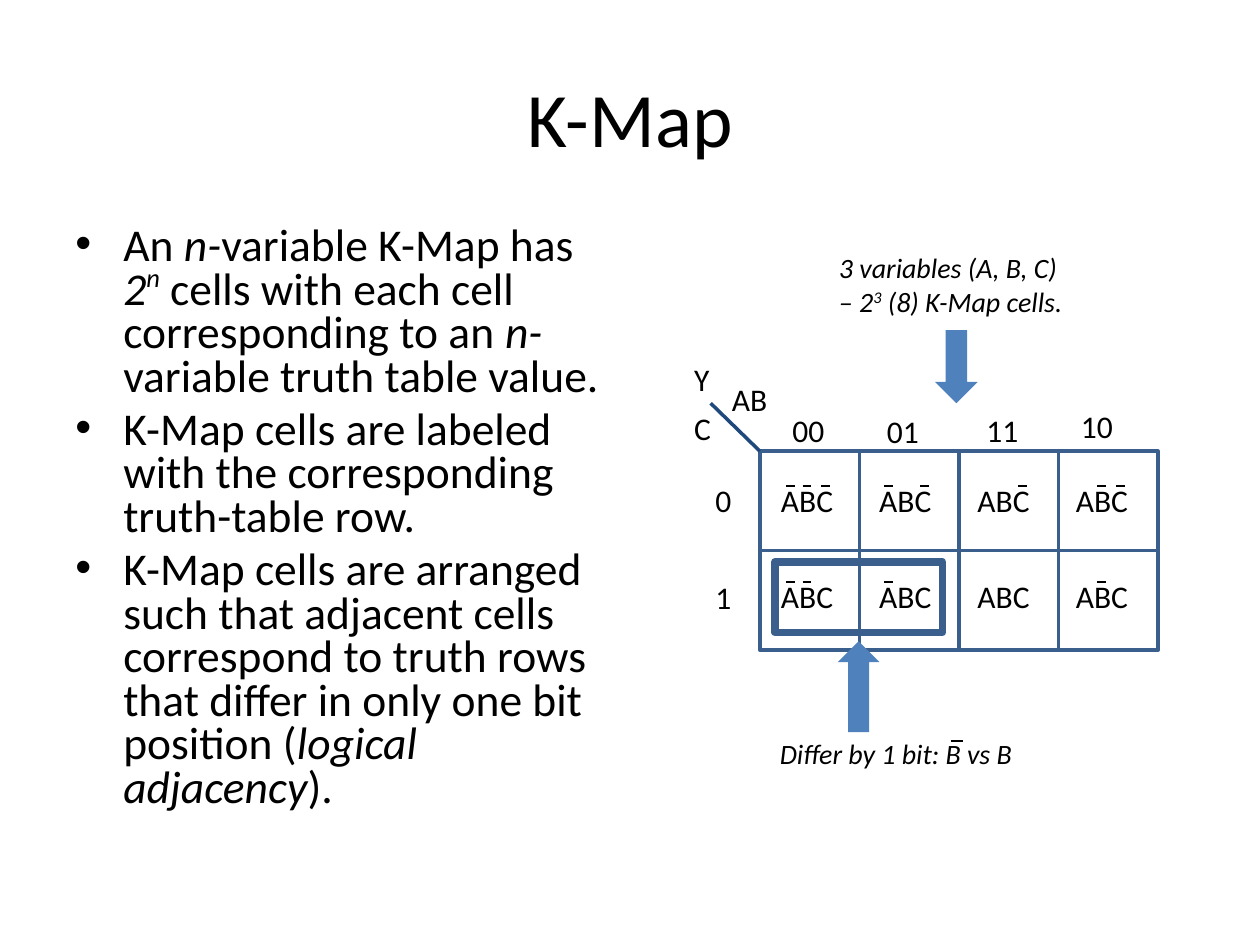
"""Build the K-Map slide: explanatory bullets beside a three-variable map."""
from itertools import product

from lxml.etree import SubElement
from pptx import Presentation
from pptx.dml.color import RGBColor
from pptx.enum.shapes import MSO_CONNECTOR, MSO_SHAPE
from pptx.enum.text import MSO_ANCHOR, PP_ALIGN
from pptx.oxml.ns import qn
from pptx.util import Inches, Pt

THEME = {
    "font": "Calibri",
    "ink": RGBColor(0x00, 0x00, 0x00),
    "grid": RGBColor(0x3A, 0x5F, 0x8C),
    "axis": RGBColor(0x1F, 0x49, 0x7D),
    "arrow": RGBColor(0x4F, 0x81, 0xBD),
    "title": Pt(44),
    "body": Pt(26),
    "label": Pt(18),
    "caption": Pt(16),
}
WIDTH, HEIGHT = 10, 7.5
MARGIN = 0.05 * WIDTH
CELL = 0.79
MAP_LEFT, MAP_TOP = 6.03, 3.58
TERM_LEFT, TERM_TOP, TERM_COLUMN, TERM_ROW = 6.1, 3.77, 0.78, 0.76

deck = Presentation()
deck.slide_width, deck.slide_height = Inches(WIDTH), Inches(HEIGHT)
slide = deck.slides.add_slide(deck.slide_layouts[5])
shapes = slide.shapes


def write(left, top, width, height, paragraphs, size):
    """Add a text box whose paragraphs are lists of (text, italic, baseline) runs."""
    frame = shapes.add_textbox(*map(Inches, (left, top, width, height))).text_frame
    frame.word_wrap = True
    for index, pieces in enumerate(paragraphs):
        paragraph = frame.add_paragraph() if index else frame.paragraphs[0]
        for text, italic, baseline in pieces:
            run = paragraph.add_run()
            run.text = text
            run.font.name, run.font.size = THEME["font"], size
            run.font.italic = italic
            run.font.color.rgb = THEME["ink"]
            if baseline:
                run._r.get_or_add_rPr().set("baseline", str(baseline * 1000))
    return frame


def rule(x1, y1, x2, y2, color, weight):
    """Draw a straight line without a shadow."""
    line = shapes.add_connector(MSO_CONNECTOR.STRAIGHT, *map(Inches, (x1, y1, x2, y2)))
    line.line.color.rgb, line.line.width = color, Pt(weight)
    SubElement(line._element.spPr, qn("a:effectLst"))


title = shapes.title
title.left, title.top = Inches(MARGIN), Inches(0.04 * HEIGHT)
title.width, title.height = Inches(WIDTH - 2 * MARGIN), Inches(HEIGHT / 6)
title.text_frame.text = "K-Map"
title.text_frame.vertical_anchor = MSO_ANCHOR.MIDDLE
heading = title.text_frame.paragraphs[0]
heading.alignment = PP_ALIGN.CENTER
heading_font = heading.runs[0].font
heading_font.name, heading_font.size = THEME["font"], THEME["title"]
heading_font.color.rgb = THEME["ink"]

points = [
    [("An ", False, 0), ("n-", True, 0), ("variable K-Map has ", False, 0),
     ("2", True, 0), ("n", True, 40),
     (" cells with each cell corresponding to an ", False, 0),
     ("n-", True, 0), ("variable truth table value.", False, 0)],
    [("K-Map cells are labeled with the corresponding truth-table row.", False, 0)],
    [("K-Map cells are arranged such that adjacent cells correspond to truth rows "
      "that differ in only one bit position (", False, 0),
     ("logical adjacency", True, 0), (").", False, 0)],
]
explanation = write(MARGIN, 1.75, 4.42, 0.66 * HEIGHT, points, THEME["body"])
for point in explanation.paragraphs:
    point.line_spacing, point.space_before = 0.8, Pt(5.2)
    properties = point._p.get_or_add_pPr()
    properties.set("marL", str(Inches(0.38)))
    properties.set("indent", str(-Inches(0.38)))
    SubElement(properties, qn("a:buFont"), typeface="Arial")
    SubElement(properties, qn("a:buChar"), char="•")

outlines = [(MAP_LEFT + column * CELL, MAP_TOP + row * CELL, CELL, CELL, 2)
            for row, column in product(range(2), range(4))]
adjacent_pair = (6.15, 4.46, 1.33, 0.56, 4.25)
for *box, weight in outlines + [adjacent_pair]:
    outline = shapes.add_shape(MSO_SHAPE.RECTANGLE, *map(Inches, box))
    outline.shadow.inherit = False
    outline.fill.background()
    outline.line.color.rgb, outline.line.width = THEME["grid"], Pt(weight)

rule(MAP_LEFT, MAP_TOP, 5.64, 3.2, THEME["axis"], 2)

axis_labels = [
    ("Y", 5.41, 2.81), ("AB", 5.71, 2.97), ("C", 5.41, 3.2),
    ("00", 6.19, 3.21), ("01", 6.94, 3.22), ("11", 7.73, 3.21), ("10", 8.48, 3.18),
    ("0", 5.58, 3.77), ("1", 5.58, 4.54),
]
for text, left, top in axis_labels:
    write(left, top, 1.02, 0.4, [[(text, False, 0)]], THEME["label"])

letter_offsets = {"A": 0.14, "B": 0.27, "C": 0.42}
negated = [["ABC", "AC", "C", "BC"], ["AB", "A", "", "B"]]
for row, column in product(range(2), range(4)):
    left, top = TERM_LEFT + column * TERM_COLUMN, TERM_TOP + row * TERM_ROW
    write(left, top, 0.97, 0.4, [[("ABC", False, 0)]], THEME["label"])
    for letter in negated[row][column]:
        bar = left + letter_offsets[letter]
        rule(bar, top + 0.09, bar + 0.07, top + 0.09, THEME["ink"], 1)

cell_count = [[("3 variables (A, B, C)", True, 0)],
              [("– 2", True, 0), ("3", True, 30), (" (8) K-Map cells.", True, 0)]]
write(6.56, 1.94, 2.61, 0.64, cell_count, THEME["caption"])
write(6.09, 5.8, 2.61, 0.37, [[("Differ by 1 bit: B vs B", True, 0)]], THEME["caption"])
rule(7.55, 5.88, 7.64, 5.88, THEME["ink"], 1.5)

for direction, *box in [(MSO_SHAPE.DOWN_ARROW, 7.42, 2.62, 0.34, 0.58),
                        (MSO_SHAPE.UP_ARROW, 6.65, 5.09, 0.33, 0.72)]:
    pointer = shapes.add_shape(direction, *map(Inches, box))
    pointer.shadow.inherit = False
    pointer.fill.solid()
    pointer.fill.fore_color.rgb = THEME["arrow"]
    pointer.line.fill.background()

deck.save("out.pptx")
